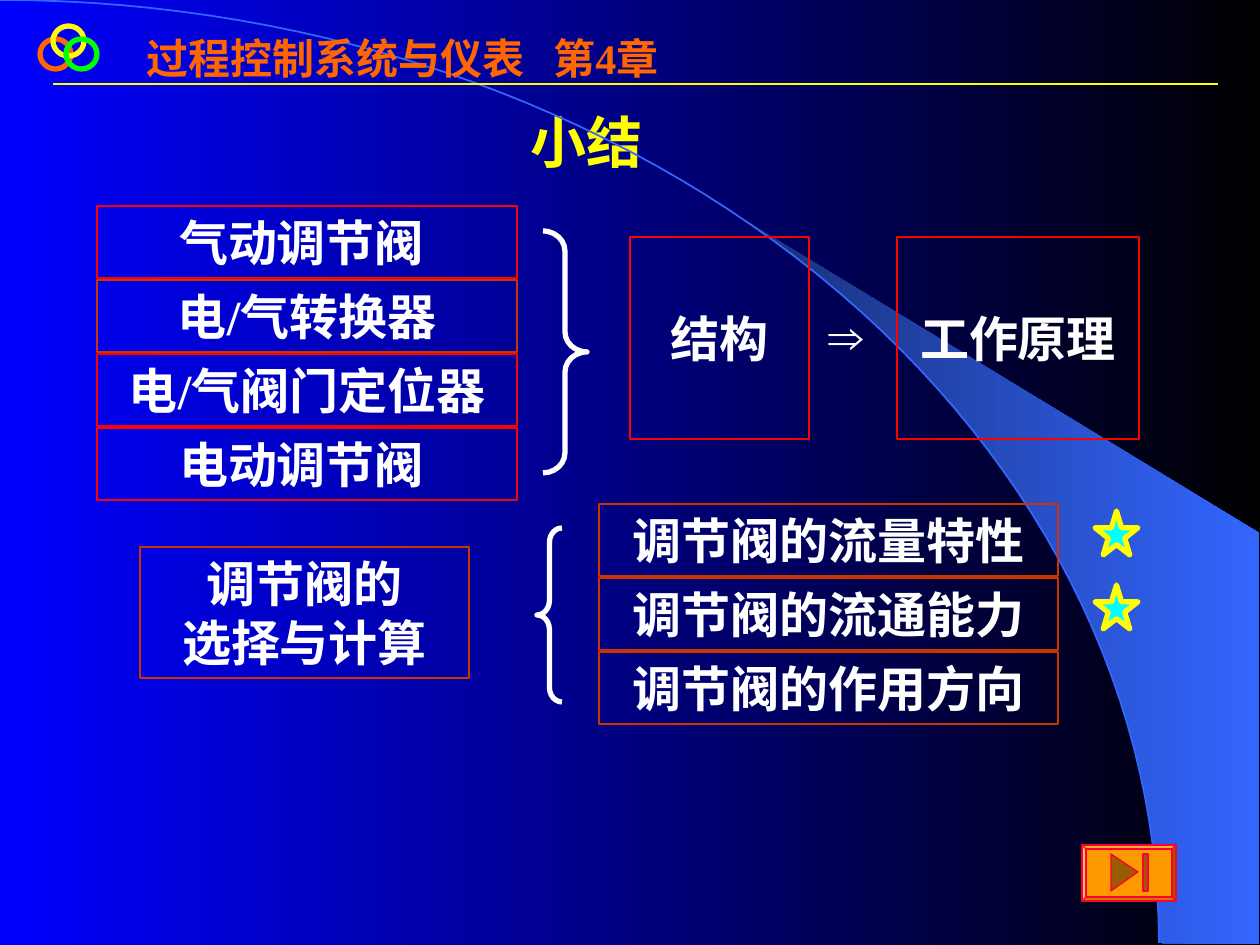
from math import cos, pi, sin

from lxml.etree import SubElement
from pptx import Presentation
from pptx.dml.color import RGBColor
from pptx.enum.shapes import MSO_CONNECTOR, MSO_SHAPE as Shape
from pptx.enum.text import MSO_ANCHOR as Anchor, PP_ALIGN as Align
from pptx.oxml.ns import qn
from pptx.util import Pt

SCALE = 914400 / 126
COLORS = {
    "blue": "0000FF", "black": "000000", "navy": "182F76", "sky": "3366FF",
    "orange": "FF6600", "yellow": "FFFF00", "green": "00FF00",
    "white": "FFFFFF", "red": "FF0000", "brick": "CC3300", "cyan": "00FFFF",
    "amber": "FF9900", "brown": "995C00", "crimson": "FF0033",
}


def px(*lengths):
    return [round(length * SCALE) for length in lengths]


def color(name):
    return RGBColor.from_string(COLORS[name])


def write(box, text, size=28, ink="white", font="Times New Roman",
          align=Align.CENTER, anchor=Anchor.MIDDLE, tab=None):
    frame = box.text_frame
    frame.word_wrap = True
    frame.vertical_anchor = anchor
    frame.text = text
    for para in frame.paragraphs:
        para.alignment = align
        if tab:
            tabs = SubElement(para._p.get_or_add_pPr(), qn("a:tabLst"))
            SubElement(tabs, qn("a:tab"), pos=str(px(tab)[0]), algn="l")
        for span in para.runs:
            span.font.name = font
            span.font.size = Pt(size)
            span.font.bold = True
            span.font.color.rgb = color(ink)


class SlideBuilder:
    """Hold the style and the current slide, and draw each kind of element."""

    def __init__(self, deck):
        self.slide = deck.slides.add_slide(deck.slide_layouts[5])
        self.shapes = self.slide.shapes

    def gradient(self, fill, *names):
        fill.gradient()
        fill.gradient_angle = 0
        for stop, position, name in zip(fill.gradient_stops, (0, 1), names):
            stop.position = position
            stop.color.rgb = color(name)

    def background(self, *names):
        self.gradient(self.slide.background.fill, *names)

    def paint(self, shape, fill=None, line=None, width=0.75):
        shape.shadow.inherit = False
        if fill:
            shape.fill.solid()
            shape.fill.fore_color.rgb = color(fill)
        else:
            shape.fill.background()
        if line:
            shape.line.color.rgb = color(line)
            shape.line.width = Pt(width)
        else:
            shape.line.fill.background()
        return shape

    def preset(self, kind, area, adjust=None, **style):
        shape = self.paint(self.shapes.add_shape(kind, *px(*area)), **style)
        if adjust is not None:
            shape.adjustments[0] = adjust
        return shape

    def outline(self, points, close=True, **style):
        start, *rest = [px(*point) for point in points]
        builder = self.shapes.build_freeform(*start)
        builder.add_line_segments(rest, close=close)
        return self.paint(builder.convert_to_shape(), **style)

    def rule(self, start, end, line, width):
        rule = self.shapes.add_connector(MSO_CONNECTOR.STRAIGHT, *px(*start, *end))
        rule.line.color.rgb = color(line)
        rule.line.width = Pt(width)
        SubElement(rule._element.spPr, qn("a:effectLst"))

    def label(self, text, area, **style):
        write(self.shapes.add_textbox(*px(*area)), text, align=Align.LEFT, **style)

    def title(self, text, area, **style):
        box = self.shapes.title
        box.left, box.top, box.width, box.height = px(*area)
        write(box, text, align=Align.LEFT, **style)

    def panel(self, text, area, line):
        write(self.preset(Shape.RECTANGLE, area, line=line), text)


def arc(start, steps=60):
    angles = [start + (pi / 2 - start) * step / steps for step in range(steps + 1)]
    return [(1159 * sin(angle), 943 * (1 - cos(angle))) for angle in angles]


def main():
    deck = Presentation()
    deck.slide_width, deck.slide_height = px(1260, 945)
    page = SlideBuilder(deck)

    page.background("blue", "black")
    wedge = page.outline(arc(0.69) + [(1259, 944), (1259, 533)])
    page.gradient(wedge.fill, "navy", "sky")
    page.outline(arc(0), close=False, line="sky", width=1)

    page.rule((53, 84), (1218, 84), "yellow", 1.5)
    page.label("过程控制系统与仪表\t第4章", (134, 26, 566, 113), size=24,
               ink="orange", anchor=Anchor.TOP, tab=407)
    for left, top, line in ((40, 39, "orange"), (53, 26, "yellow"), (66, 39, "green")):
        page.preset(Shape.OVAL, (left, top, 31, 30), line=line, width=3)
    page.title("小结", (518, 101, 174, 81), size=32, ink="yellow")

    devices = (("气动调节阀 ", "red"), ("电/气转换器", "brick"),
               ("电/气阀门定位器", "red"), ("电动调节阀 ", "red"))
    for row, (text, line) in enumerate(devices):
        page.panel(text, (97, 206 + 74 * row, 420, 72), line)
    page.preset(Shape.RIGHT_BRACE, (543, 231, 44, 242), 0.46, line="white", width=3)
    page.panel("结构", (630, 237, 179, 202), "red")
    page.label("⇒", (816, 299, 94, 72), font="Arial")
    page.panel("工作原理", (897, 237, 242, 202), "red")

    page.panel("调节阀的\n选择与计算", (140, 547, 329, 131), "brick")
    page.preset(Shape.LEFT_BRACE, (537, 528, 25, 174), 0.58, line="white", width=3)
    topics = ("调节阀的流量特性", "调节阀的流通能力", "调节阀的作用方向")
    for row, text in enumerate(topics):
        page.panel(text, (599, 504 + 74 * row, 459, 72), "brick")
    for row in range(2):
        page.preset(Shape.STAR_5_POINT, (1095, 511 + 74 * row, 43, 44),
                    fill="cyan", line="yellow", width=3)

    page.preset(Shape.BEVEL, (1082, 845, 94, 56), 0.07, fill="amber", line="crimson")
    page.outline([(1138, 872), (1111, 891), (1111, 854)], fill="brown", line="crimson")
    page.preset(Shape.RECTANGLE, (1143, 854, 5, 37), fill="brown", line="crimson")
    deck.save("out.pptx")


if __name__ == "__main__":
    main()
